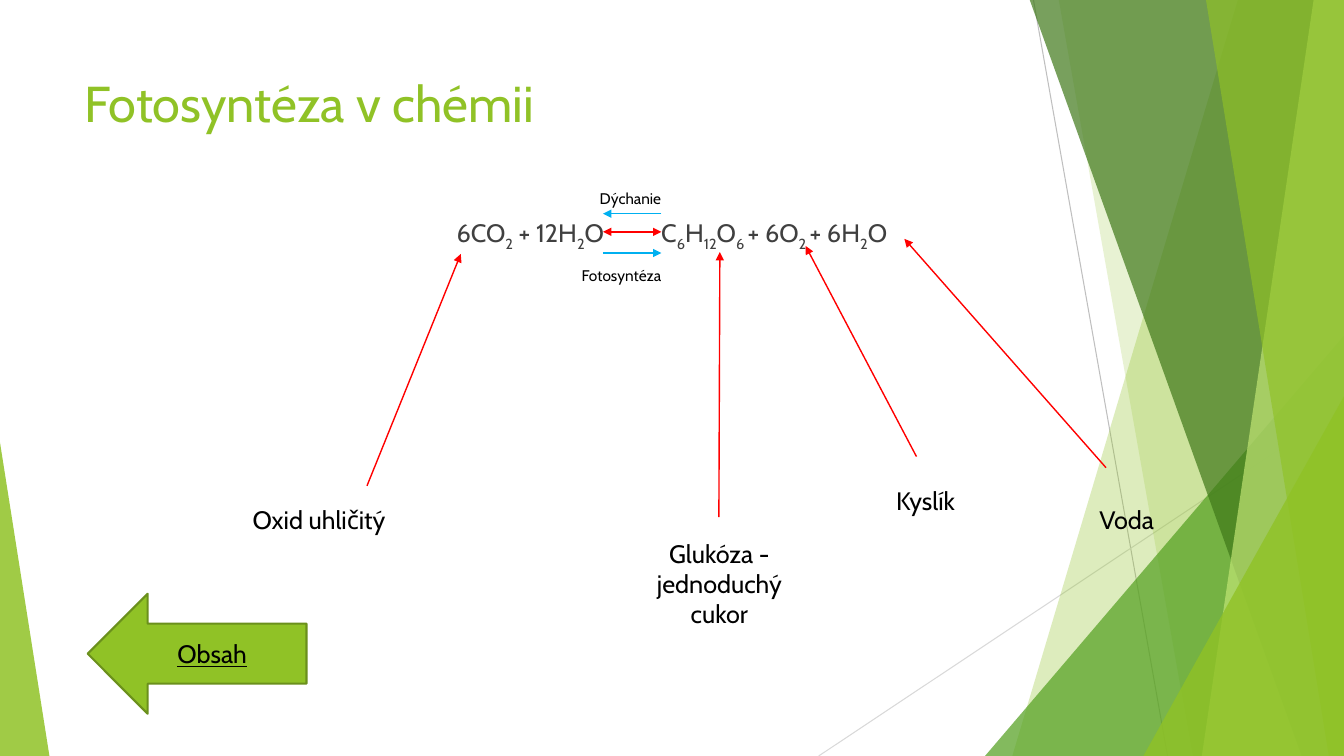
from dataclasses import dataclass

from lxml import etree
from pptx import Presentation
from pptx import util as u
from pptx.dml.color import RGBColor
from pptx.enum import shapes, text
from pptx.oxml.ns import qn


@dataclass(frozen=True)
class Theme:
    font: str = "Cabin"
    lime: str = "90C226"
    green: str = "54A021"
    dark: str = "3F7819"
    pale: str = "C0E474"
    edge: str = "6B901C"
    red: str = "FF0000"
    blue: str = "00B0F0"
    gray: str = "BFBFBF"
    mist: str = "D9D9D9"
    ink: str = "404040"
    black: str = "000000"
    title: int = 36
    body: int = 18
    small: int = 11


T = Theme()
RIGHT, TOP, BASE = 13.33, -0.01, 7.5
ALIGN = {"l": text.PP_ALIGN.LEFT, "c": text.PP_ALIGN.CENTER}


def inch(*vals):
    return [u.Inches(v) for v in vals]


def paint(shape, color, alpha=100):
    """Fill a shape, with alpha in percent, and drop its outline."""
    shape.shadow.inherit = False
    shape.fill.solid()
    shape.fill.fore_color.rgb = RGBColor.from_string(color)
    shape.line.fill.background()
    if alpha < 100:
        tint = shape.fill._xPr.find(qn("a:solidFill"))[0]
        etree.SubElement(tint, qn("a:alpha"), val=str(alpha * 1000))


def band(slide, top, foot, color, alpha):
    """Slanted band from the top and foot points to the right edge."""
    pen = slide.shapes.build_freeform(*inch(top, TOP), scale=1.0)
    pts = [(RIGHT, TOP), (RIGHT, BASE), (foot, BASE)]
    pen.add_line_segments([inch(*p) for p in pts], close=True)
    paint(pen.convert_to_shape(), color, alpha)


def wedge(slide, box, tip, color, alpha):
    kind = shapes.MSO_SHAPE.ISOSCELES_TRIANGLE
    shape = slide.shapes.add_shape(kind, *inch(*box))
    shape.adjustments[0] = tip
    paint(shape, color, alpha)


def line(slide, start, end, color, width=1, ends=("tailEnd",)):
    link = slide.shapes.add_connector(
        shapes.MSO_CONNECTOR.STRAIGHT, *inch(*start, *end))
    link.line.color.rgb = RGBColor.from_string(color)
    link.line.width = u.Pt(width)
    for end_tag in ends:
        etree.SubElement(link.line._ln, qn("a:" + end_tag), type="triangle")
    etree.SubElement(link._element.spPr, qn("a:effectLst"))


def write(shape, words, size=T.body, color=T.black, align="l",
          under=False, middle=False, tabs=()):
    """Write words; parts between underscores are set as subscripts."""
    frame = shape.text_frame
    frame.word_wrap = True
    anchor = text.MSO_ANCHOR
    frame.vertical_anchor = anchor.MIDDLE if middle else anchor.TOP
    para = frame.paragraphs[0]
    para.alignment = ALIGN[align]
    if tabs:
        stops = etree.SubElement(para._p.get_or_add_pPr(), qn("a:tabLst"))
        for pos in tabs:
            etree.SubElement(stops, qn("a:tab"),
                             pos=str(u.Inches(pos)), algn="l")
    for i, part in enumerate(words.split("_")):
        run = para.add_run()
        run.text = part
        font = run.font
        font.name, font.size = T.font, u.Pt(size)
        font.color.rgb = RGBColor.from_string(color)
        if under:
            font.underline = True
        if i % 2:
            run._r.get_or_add_rPr().set("baseline", "-25000")


def label(slide, box, words, **form):
    write(slide.shapes.add_textbox(*inch(*box)), words, **form)


def backdrop(slide):
    line(slide, (10.25, 0), (11.58, BASE), T.gray, 0.75, ())
    line(slide, (RIGHT, 4.03), (8.12, BASE), T.mist, 0.75, ())
    band(slide, 12.28, 10.04, T.lime, 30)
    band(slide, 10.5, 11.83, T.lime, 20)
    wedge(slide, (9.77, 3.33, 3.56, 4.17), 1, T.green, 72)
    band(slide, 10.21, 12.91, T.dark, 70)
    band(slide, 13.03, 11.92, T.pale, 70)
    band(slide, 11.96, 13.18, T.lime, 65)
    wedge(slide, (11.34, 3.93, 1.99, 3.57), 1, T.lime, 80)
    wedge(slide, (0, 4.39, 0.49, 3.11), 0, T.lime, 85)


def formula(slide):
    label(slide, (0.92, 2.11, 11.5, 4.7),
          "\t6CO_2_ + 12H_2_O\tC_6_H_12_O_6 _+ 6O_2 _+ 6H_2_O",
          color=T.ink, tabs=(3.51, 5.54))
    # Reaction arrows between the two sides
    left, right = 5.98, 6.56
    line(slide, (left, 2.3), (right, 2.3), T.red, ends=("headEnd", "tailEnd"))
    line(slide, (right, 2.12), (left, 2.12), T.blue)
    line(slide, (left, 2.51), (right, 2.51), T.blue)
    label(slide, (5.85, 1.83, 1, 0.29), "Dýchanie", size=T.small)
    label(slide, (5.67, 2.59, 1.09, 0.29), "Fotosyntéza", size=T.small)


def names(slide):
    items = [
        ("Glukóza - jednoduchý cukor", (6.18, 5.29, 1.91, 1.01),
         (7.13, 5.13), (7.14, 2.5)),
        ("Oxid uhličitý", (2.1, 4.95, 2.13, 0.4), (3.64, 4.82), (4.57, 2.52)),
        ("Voda", (10.32, 4.95, 1.71, 0.4), (10.97, 4.64), (8.97, 2.37)),
        ("Kyslík", (8.63, 4.77, 1.1, 0.4), (9.09, 4.53), (7.99, 2.44)),
    ]
    for words, box, start, end in items:
        line(slide, start, end, T.red)
        label(slide, box, words, align="c")


def button(slide):
    shape = slide.shapes.add_shape(
        shapes.MSO_SHAPE.LEFT_ARROW, *inch(0.87, 5.89, 2.17, 1.19))
    paint(shape, T.lime)
    shape.line.color.rgb = RGBColor.from_string(T.edge)
    shape.line.width = u.Pt(1.5)
    write(shape, "Obsah", align="c", under=True, middle=True)


def main():
    deck = Presentation()
    deck.slide_width, deck.slide_height = inch(RIGHT, BASE)
    slide = deck.slides.add_slide(deck.slide_layouts[6])
    backdrop(slide)
    label(slide, (0.74, 0.67, 9.4, 1.44), "Fotosyntéza v chémii",
          size=T.title, color=T.lime)
    formula(slide)
    names(slide)
    button(slide)
    deck.save("out.pptx")


if __name__ == "__main__":
    main()
